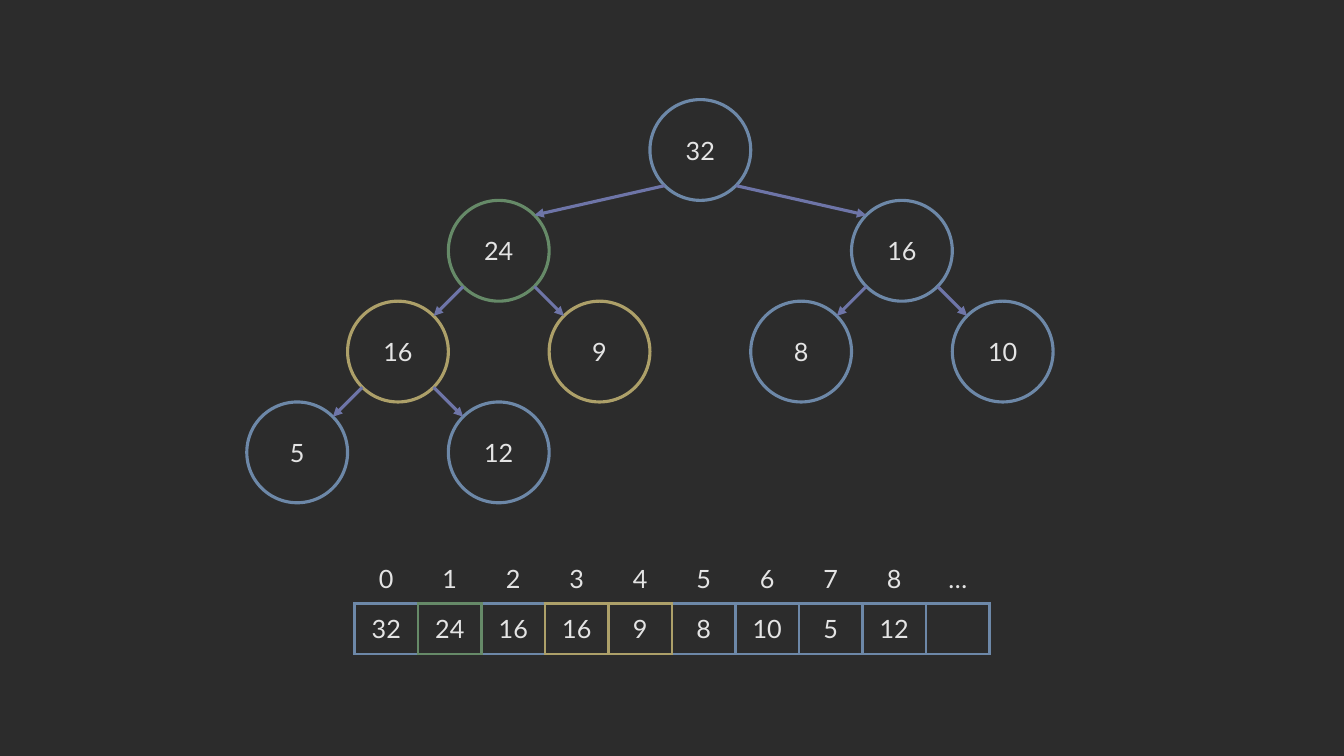
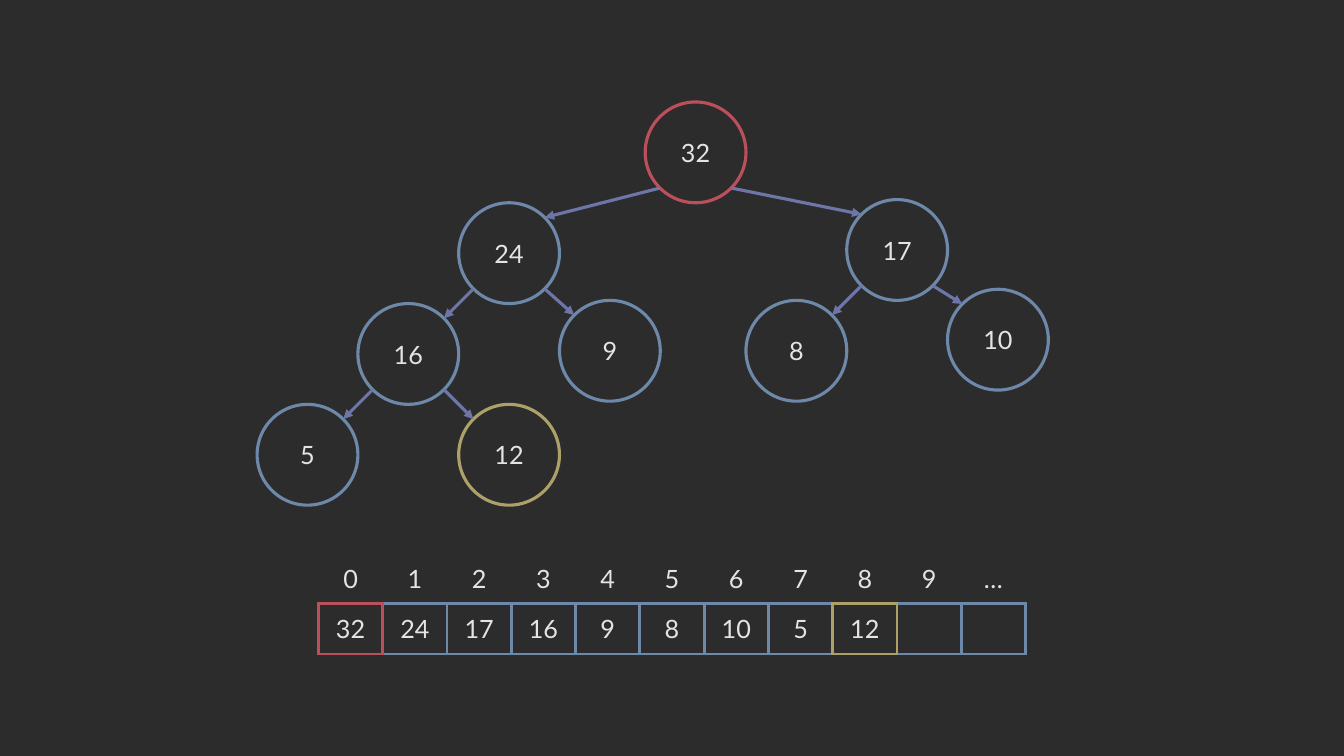
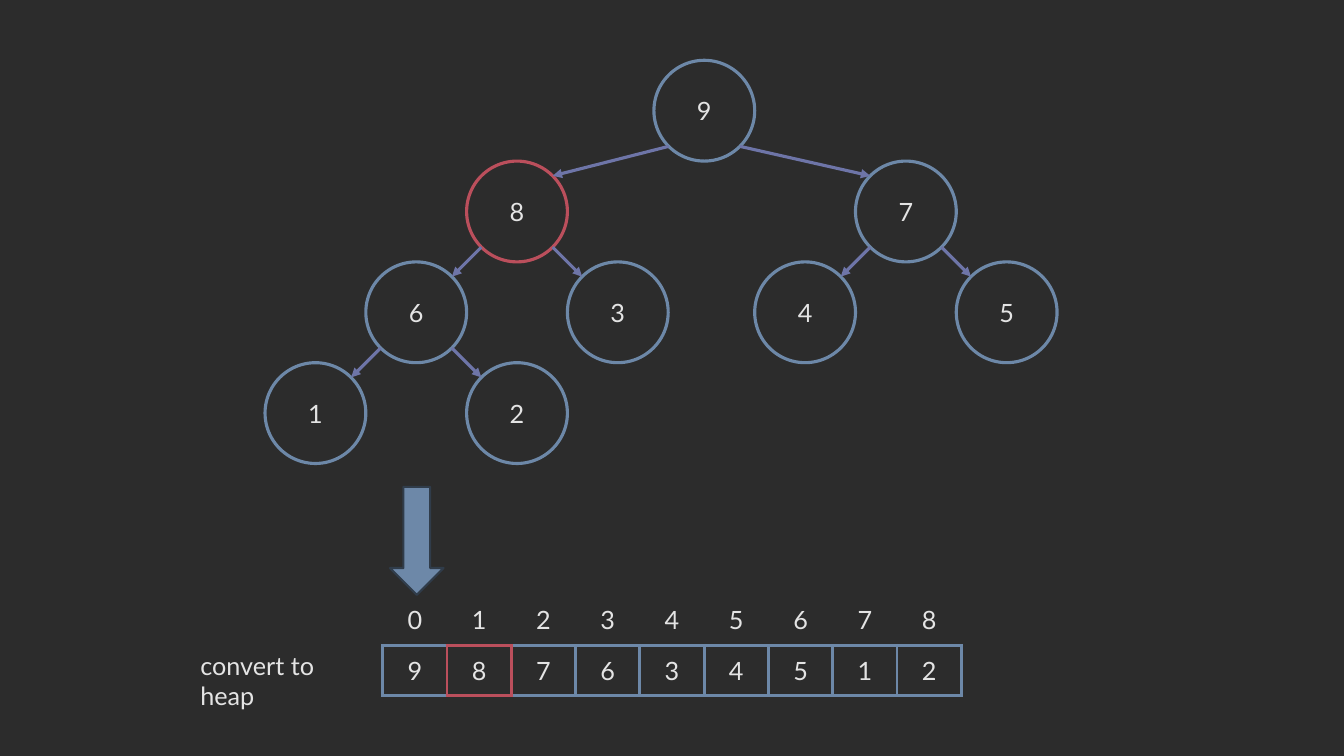
from dataclasses import dataclass
from math import sqrt

from lxml import etree
from pptx import Presentation
from pptx.dml.color import RGBColor
from pptx.enum.shapes import MSO_CONNECTOR as Connector, MSO_SHAPE as Shape
from pptx.enum.text import MSO_ANCHOR as Anchor, PP_ALIGN as Align
from pptx.oxml.ns import qn
from pptx.util import Cm, Pt


@dataclass(frozen=True)
class Theme:
    background: str = "2C2C2C"
    text: str = "E4E4E4"
    blue: str = "6D88A8"
    green: str = "668A68"
    yellow: str = "ADA069"
    red: str = "BB4F5C"
    edge: str = "6E75A8"
    arrow_outline: str = "303C4A"
    font: str = "Lato"
    size: float = 18
    stroke: float = 2.25
    thin_stroke: float = 1.5


THEME = Theme()

# Lengths in centimetres. "root" is the top left corner of the root node,
# "nudges" move a node together with everything below it.
HEAPS = [
    {
        "values": [32, 24, 16, 16, 9, 8, 10, 5, 12],
        "labels": [*range(9), "…"],
        "marks": {1: THEME.green, 3: THEME.yellow, 4: THEME.yellow},
        "root": (16.38, 2.51),
        "nudges": {},
        "table_top": 13.94,
        "column": 1.6,
    },
    {
        "values": [32, 24, 17, 16, 9, 8, 10, 5, 12],
        "labels": [*range(10), "…"],
        "marks": {0: THEME.red, 8: THEME.yellow},
        "root": (16.26, 2.57),
        "nudges": {1: (0.38, 0), 2: (0, -0.08), 4: (0, -0.08), 6: (0, -0.28)},
        "table_top": 13.94,
        "column": 1.62,
    },
    {
        "values": [9, 8, 7, 6, 3, 4, 5, 1, 2],
        "labels": [*range(9)],
        "marks": {1: THEME.red},
        "root": (16.48, 1.52),
        "nudges": {1: (0.36, 0)},
        "table_top": 14.99,
        "column": 1.62,
        "caption": "convert to heap",
    },
]

SLIDE_WIDTH, SLIDE_HEIGHT = 33.87, 19.05
NODE = 2.54
ROW = 1.27


def rgb(value):
    return RGBColor.from_string(value)


def set_line(line, color, width=THEME.stroke):
    line.color.rgb = rgb(color)
    line.width = Pt(width)


def write(frame, text, align=Align.CENTER):
    para = frame.paragraphs[0]
    para.alignment = align
    span = para.add_run()
    span.text = str(text)
    span.font.name = THEME.font
    span.font.size = Pt(THEME.size)
    span.font.color.rgb = rgb(THEME.text)


def parent_of(index):
    return (index - 1) // 2


def side_of(index):
    """-1 for a left child, 1 for a right child."""
    return -1 if index % 2 else 1


def place_nodes(heap):
    """Return the top left corner of each node, in heap order."""
    corners = [heap["root"]]
    for index in range(1, len(heap["values"])):
        parent = parent_of(index)
        x, y = corners[parent]
        dx, dy = heap["nudges"].get(index, (0, 0))
        spread = NODE if parent else 2 * NODE
        corners.append((x + side_of(index) * spread + dx, y + NODE + dy))
    return corners


def add_node(page, corner, value, color):
    node = page.shapes.add_shape(Shape.OVAL, *map(Cm, corner), Cm(NODE), Cm(NODE))
    node.shadow.inherit = False
    node.fill.background()
    set_line(node.line, color)
    frame = node.text_frame
    frame.margin_left = frame.margin_right = frame.margin_top = frame.margin_bottom = 0
    frame.vertical_anchor = Anchor.MIDDLE
    write(frame, value)


def add_edge(page, parent, child, side):
    """Join the lower diagonal point of the parent to the upper one of the child."""
    center = NODE / 2
    reach = center / sqrt(2)
    edge = page.shapes.add_connector(
        Connector.STRAIGHT,
        Cm(parent[0] + center + side * reach),
        Cm(parent[1] + center + reach),
        Cm(child[0] + center - side * reach),
        Cm(child[1] + center - reach),
    )
    set_line(edge.line, THEME.edge)
    etree.SubElement(edge.line._get_or_add_ln(), qn("a:tailEnd"), type="triangle")
    etree.SubElement(edge._element.spPr, qn("a:effectLst"))


def add_tree(page, heap):
    corners = place_nodes(heap)
    for index, (corner, value) in enumerate(zip(corners, heap["values"])):
        add_node(page, corner, value, heap["marks"].get(index, THEME.blue))
        if index:
            add_edge(page, corners[parent_of(index)], corner, side_of(index))


def set_borders(cell, left=None, right=None, top=None, bottom=None):
    """Draw the sides that have a colour and hide the others."""
    properties = cell._tc.get_or_add_tcPr()
    for tag, color in (("lnL", left), ("lnR", right), ("lnT", top), ("lnB", bottom)):
        line = etree.SubElement(properties, qn(f"a:{tag}"), w=str(Pt(THEME.stroke)))
        if color:
            fill = etree.SubElement(line, qn("a:solidFill"))
            etree.SubElement(fill, qn("a:srgbClr"), val=color)
        else:
            etree.SubElement(line, qn("a:noFill"))


def add_array(page, heap):
    labels, values, marks = heap["labels"], heap["values"], heap["marks"]
    width = heap["column"] * len(labels)
    table = page.shapes.add_table(
        2, len(labels), Cm((SLIDE_WIDTH - width) / 2), Cm(heap["table_top"]),
        Cm(width), Cm(2 * ROW),
    ).table
    table.first_row = table.horz_banding = False

    def shared(index, neighbour):
        return marks.get(index) or marks.get(neighbour, THEME.blue)

    for index, label in enumerate(labels):
        table.columns[index].width = Cm(heap["column"])
        color = marks.get(index, THEME.blue)
        header, slot = table.cell(0, index), table.cell(1, index)
        set_borders(header, bottom=color)
        set_borders(slot, shared(index, index - 1), shared(index, index + 1), color, color)
        for cell in (header, slot):
            cell.fill.background()
            cell.vertical_anchor = Anchor.MIDDLE
        write(header.text_frame, label)
        if index < len(values):
            write(slot.text_frame, values[index])


def add_caption(page, text):
    """Add the block arrow from tree to array and the label beside the array."""
    arrow = page.shapes.add_shape(Shape.DOWN_ARROW, Cm(9.83), Cm(12.27), Cm(1.35), Cm(2.72))
    arrow.shadow.inherit = False
    arrow.fill.solid()
    arrow.fill.fore_color.rgb = rgb(THEME.blue)
    set_line(arrow.line, THEME.arrow_outline, THEME.thin_stroke)
    box = page.shapes.add_textbox(Cm(4.8), Cm(16.26), Cm(4.7), Cm(1.02))
    box.text_frame.word_wrap = True
    write(box.text_frame, text, Align.LEFT)


def main():
    deck = Presentation()
    deck.slide_width, deck.slide_height = Cm(SLIDE_WIDTH), Cm(SLIDE_HEIGHT)
    backdrop = deck.slide_master.background.fill
    backdrop.solid()
    backdrop.fore_color.rgb = rgb(THEME.background)
    for heap in HEAPS:
        page = deck.slides.add_slide(deck.slide_layouts[6])
        add_tree(page, heap)
        add_array(page, heap)
        if "caption" in heap:
            add_caption(page, heap["caption"])
    deck.save("out.pptx")


if __name__ == "__main__":
    main()
